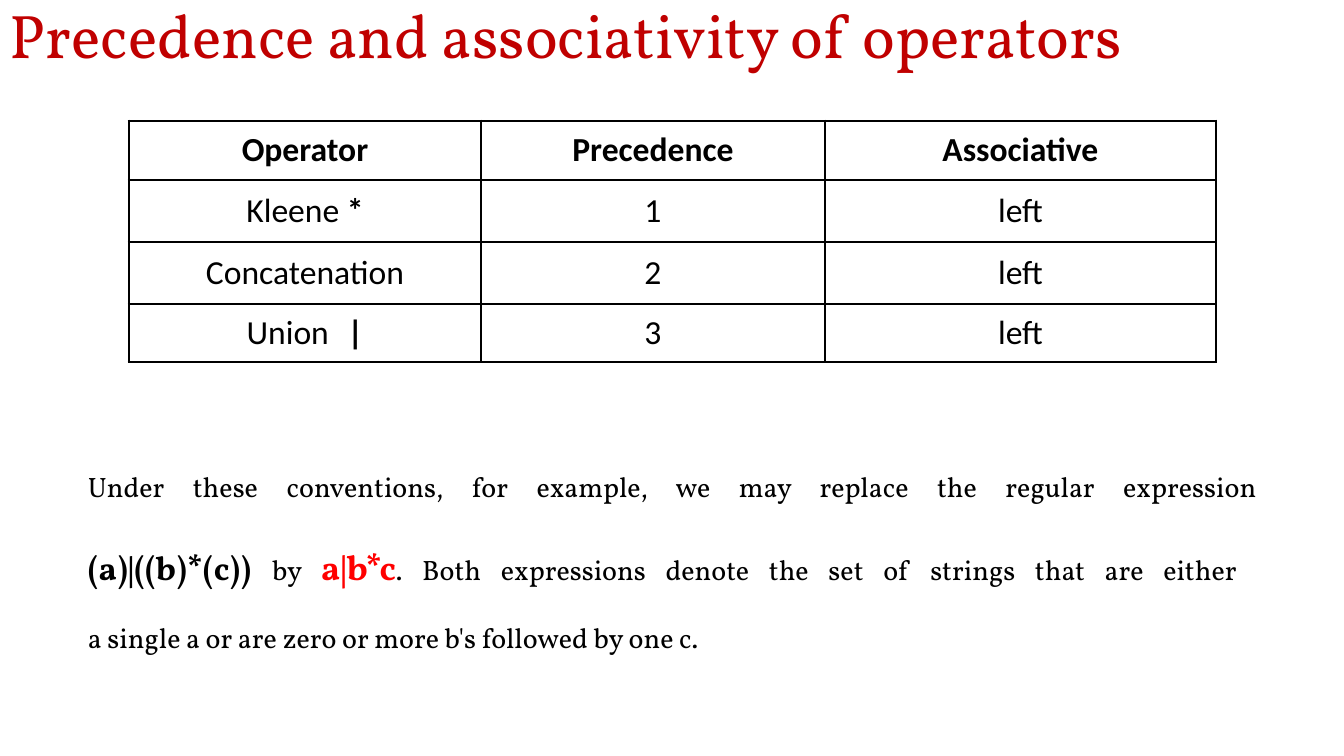
from lxml import etree
from pptx import Presentation
from pptx import util as u
from pptx.dml.color import RGBColor
from pptx.enum import text
from pptx.oxml.ns import qn

BLACK = RGBColor(0x00, 0x00, 0x00)
DARK_RED = RGBColor(0xC0, 0x00, 0x00)
RED = RGBColor(0xFF, 0x00, 0x00)
HEADING_FONT, TABLE_FONT = "Vollkorn", "Calibri"

# Each run is (text, format)
BOLD = {"bold": True}
TITLE = [("Precedence and associativity of operators", {})]
OPERATORS = [
    [[("Operator", BOLD)], [("Precedence", BOLD)], [("Associative", BOLD)]],
    [[("Kleene ", {}), ("*", BOLD)], [("1", {})], [("left", {})]],
    [[("Concatenation", {})], [("2", {})], [("left", {})]],
    [[("Union \t", {}), ("|", BOLD)], [("3", {})], [("left", {})]],
]
EXPLANATION = [
    ("Under these conventions, for example, we may replace the regular expression\n", {}),
    ("(a)|((b)*(c)) ", {"size": 24, "bold": True}),
    ("by ", {}),
    ("a|b*c", {"size": 25, "bold": True, "color": RED}),
    (". Both expressions denote the set of strings that are either \n"
     "a single a or are zero or more b's followed by one c. ", {}),
]

# Lengths in px
SLIDE_SIZE = (1344, 756)
TITLE_BOX = (0, 0, 1344, 78)
TABLE_CORNER = (129, 121)
COLUMN_WIDTHS = (352, 344, 391)
ROW_HEIGHTS = (59, 62, 62, 58)
EXPLANATION_BOX = (78, 431, 1189, 222)
OUTER_LINE, INNER_LINE = 2.25, 1  # points


def px(length):
    return u.Emu(round(length * 914400 / 100.8))


def write(frame, runs, *, align=text.PP_ALIGN.LEFT, anchor=text.MSO_ANCHOR.TOP,
          line_spacing=1.0, font=HEADING_FONT, size=20, color=BLACK):
    """Fill a text frame with one paragraph; run formats override the defaults."""
    frame.word_wrap = True
    frame.vertical_anchor = anchor
    paragraph = frame.paragraphs[0]
    paragraph.alignment = align
    paragraph.line_spacing = line_spacing
    for content, own in runs:
        for number, line in enumerate(content.split("\n")):
            if number:
                paragraph.add_line_break()
            if line:
                run = paragraph.add_run()
                run.text = line
                run.font.name = font
                run.font.size = u.Pt(own.get("size", size))
                run.font.bold = own.get("bold", False)
                run.font.color.rgb = own.get("color", color)


def add_text(slide, box, runs, **style):
    shape = slide.shapes.add_textbox(*map(px, box))
    write(shape.text_frame, runs, **style)
    return shape


def set_borders(cell, widths):
    properties = cell._tc.get_or_add_tcPr()
    for side, width in zip("LRTB", widths):
        line = etree.SubElement(properties, qn(f"a:ln{side}"), w=str(u.Pt(width)))
        fill = etree.SubElement(line, qn("a:solidFill"))
        etree.SubElement(fill, qn("a:srgbClr"), val=str(BLACK))


def add_operator_table(slide):
    row_count, column_count = len(ROW_HEIGHTS), len(COLUMN_WIDTHS)
    box = (*TABLE_CORNER, sum(COLUMN_WIDTHS), sum(ROW_HEIGHTS))
    table = slide.shapes.add_table(row_count, column_count, *map(px, box)).table
    table.first_row = table.horz_banding = False
    for column, width in zip(table.columns, COLUMN_WIDTHS):
        column.width = px(width)
    for row, height in zip(table.rows, ROW_HEIGHTS):
        row.height = px(height)
    for r, row in enumerate(OPERATORS):
        for c, runs in enumerate(row):
            cell = table.cell(r, c)
            on_edge = (c == 0, c == column_count - 1, r == 0, r == row_count - 1)
            set_borders(cell, [OUTER_LINE if edge else INNER_LINE for edge in on_edge])
            cell.fill.background()
            write(cell.text_frame, runs, align=text.PP_ALIGN.CENTER,
                  font=TABLE_FONT, size=24)
            cell.vertical_anchor = text.MSO_ANCHOR.MIDDLE


def main():
    presentation = Presentation()
    presentation.slide_width, presentation.slide_height = map(px, SLIDE_SIZE)
    slide = presentation.slides.add_slide(presentation.slide_layouts[6])
    add_text(slide, TITLE_BOX, TITLE, anchor=text.MSO_ANCHOR.MIDDLE,
             line_spacing=0.9, size=44, color=DARK_RED)
    add_operator_table(slide)
    explanation = add_text(slide, EXPLANATION_BOX, EXPLANATION,
                           align=text.PP_ALIGN.JUSTIFY, line_spacing=2.0)
    explanation.text_frame.auto_size = text.MSO_AUTO_SIZE.SHAPE_TO_FIT_TEXT
    presentation.save("out.pptx")


if __name__ == "__main__":
    main()
